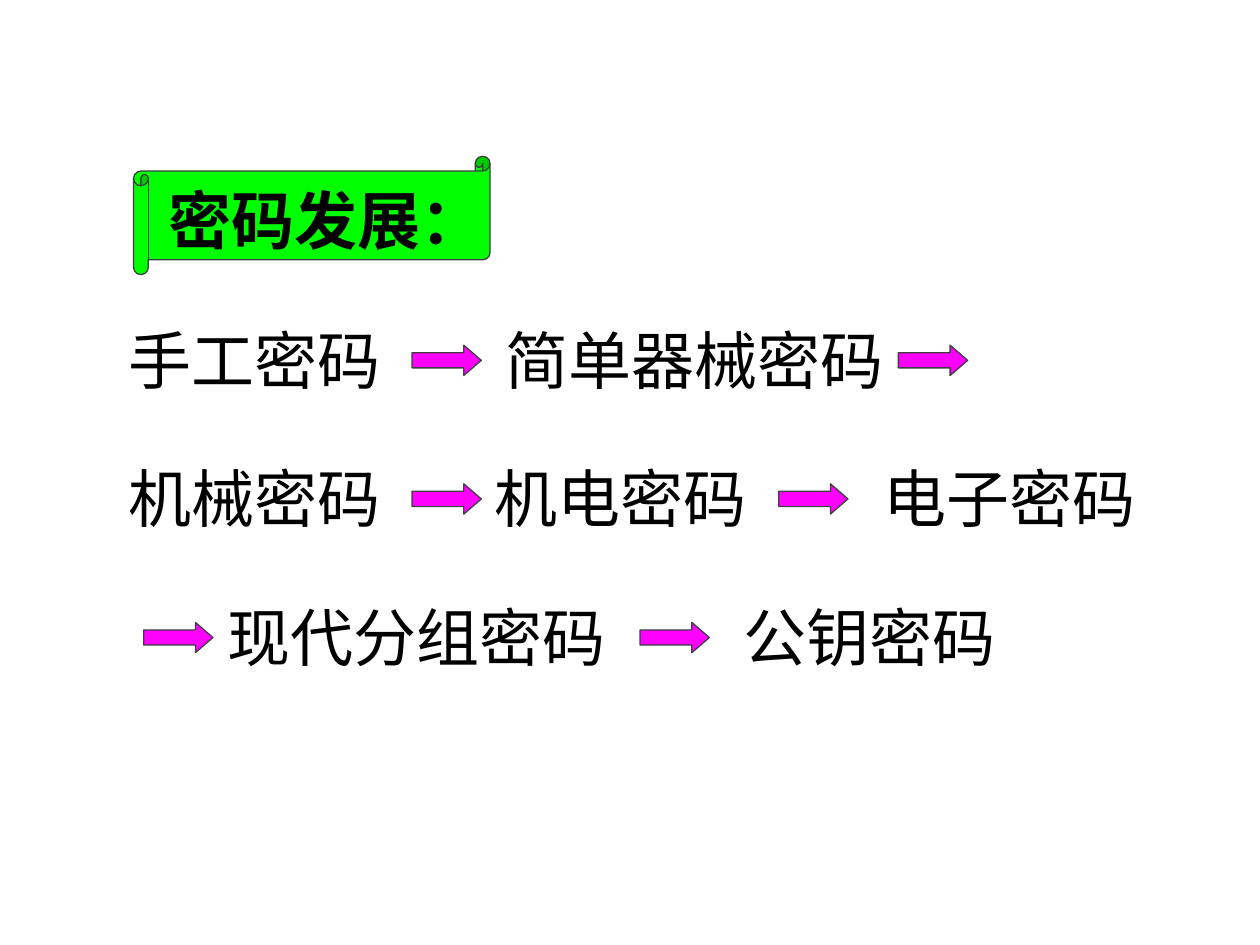
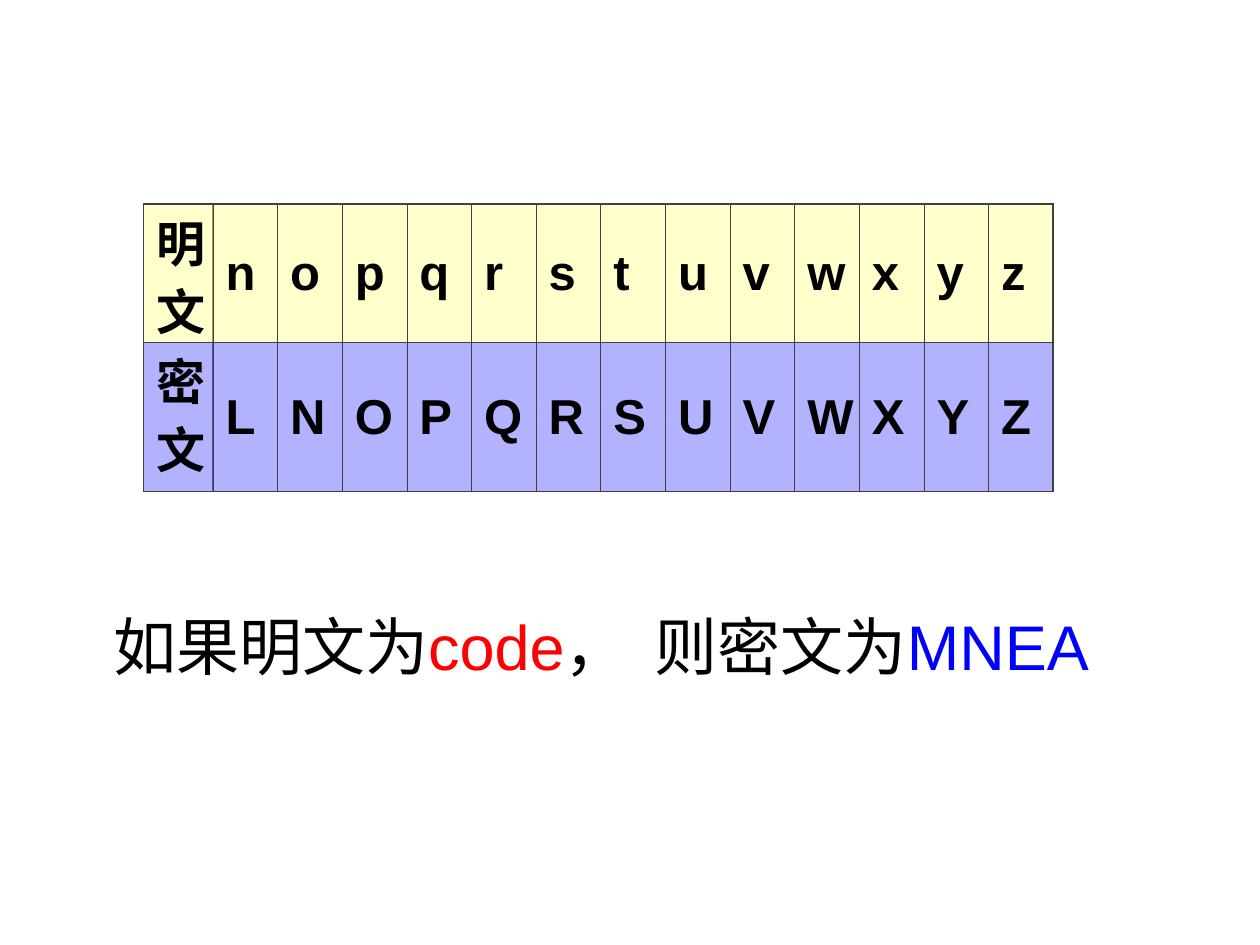
from lxml.etree import SubElement
from pptx import Presentation
from pptx.dml.color import RGBColor
from pptx.enum.shapes import MSO_SHAPE as Shape
from pptx.enum.text import MSO_ANCHOR as Anchor, MSO_AUTO_SIZE as AutoSize
from pptx.oxml import parse_xml
from pptx.oxml.ns import nsdecls, qn
from pptx.util import Inches, Pt

FONT = "Arial"
BLACK, RED, BLUE = "000000", "FF0000", "0000FF"
GREEN, MAGENTA, OUTLINE = "00FF00", "FF00FF", "3D3F41"
PLAIN_FILL, CIPHER_FILL = "FFFF99", "6666FF"
THIN, THICK = 0.45, 1.08

LINE_HEIGHT = 0.7
STAGE_TOP, STAGE_PITCH = 2.5, 1.1
ARROW_WIDTH, ARROW_HEIGHT, ARROW_DROP = 0.55, 0.24, 0.24
STAGES = [
    [(0.92, 2.31, "手工密码"), (3.91, 3.31, "简单器械密码")],
    [(0.92, 2.31, "机械密码"), (3.83, 2.31, "机电密码"), (6.91, 2.31, "电子密码")],
    [(1.71, 3.31, "现代分组密码"), (5.8, 2.31, "公钥密码")],
]
ARROWS = [(3.27, 7.13), (3.27, 6.18), (1.14, 5.08)]

TABLE_TOP, TABLE_ROWS = 1.62, (1.1, 1.18)
LABEL_LEFT, LABEL_WIDTH, LETTER_WIDTH = 1.14, 0.55, 0.513


def rgb(value):
    return RGBColor.from_string(value)


def style_run(run, size, color=BLACK, bold=False):
    font = run.font
    font.name, font.size, font.bold = FONT, Pt(size), bold
    font.color.rgb = rgb(color)
    SubElement(run._r.get_or_add_rPr(), qn("a:ea"), typeface=FONT)


def add_line_of_text(shapes, left, top, width, parts, bold=False):
    box = shapes.add_textbox(*map(Inches, (left, top, width, LINE_HEIGHT)))
    frame = box.text_frame
    frame.word_wrap = False
    frame.auto_size = AutoSize.SHAPE_TO_FIT_TEXT
    frame.vertical_anchor = Anchor.MIDDLE
    for words, color in parts:
        run = frame.paragraphs[0].add_run()
        run.text = words
        style_run(run, 36, color, bold)


def add_preset(shapes, preset, left, top, width, height, fill, adjustments):
    shape = shapes.add_shape(preset, *map(Inches, (left, top, width, height)))
    shape.shadow.inherit = False
    shape.fill.solid()
    shape.fill.fore_color.rgb = rgb(fill)
    shape.line.color.rgb = rgb(OUTLINE)
    shape.line.width = Pt(0.75)
    for index, value in enumerate(adjustments):
        shape.adjustments[index] = value


def fill_cell(cell, color, edges):
    cell.fill.solid()
    cell.fill.fore_color.rgb = rgb(color)
    properties = cell._tc.tcPr
    tint = properties.find(".//" + qn("a:srgbClr"))
    SubElement(tint, qn("a:alpha"), val="50000")
    for index, (side, width) in enumerate(zip("LRTB", edges)):
        properties.insert(index, parse_xml(
            f'<a:ln{side} {nsdecls("a")} w="{Pt(width)}"><a:solidFill>'
            f'<a:srgbClr val="{OUTLINE}"/></a:solidFill></a:ln{side}>'))


def add_cipher_table(slide, left, column_width, rows, is_label=False):
    columns = len(rows[0])
    table = slide.shapes.add_table(
        len(rows), columns, Inches(left), Inches(TABLE_TOP),
        Inches(column_width * columns), Inches(sum(TABLE_ROWS))).table
    table.first_row = table.horz_banding = False
    for column in table.columns:
        column.width = Inches(column_width)
    for r, (entries, fill) in enumerate(zip(rows, (PLAIN_FILL, CIPHER_FILL))):
        table.rows[r].height = Inches(TABLE_ROWS[r])
        for c, entry in enumerate(entries):
            cell = table.cell(r, c)
            cell.text_frame.text = entry
            paragraph = cell.text_frame.paragraphs[0]
            style_run(paragraph.runs[0], 28, bold=True)
            cell.vertical_anchor = Anchor.TOP if is_label else Anchor.MIDDLE
            if is_label:
                cell.margin_top = cell.margin_bottom = 0
                paragraph.line_spacing = Pt(39)
            outer = (c == 0, c == columns - 1 and not is_label,
                     r == 0, r == len(rows) - 1)
            fill_cell(cell, fill, [THICK if edge else THIN for edge in outer])


def build_history(slide):
    heading = slide.shapes.add_group_shape().shapes
    add_preset(heading, Shape.HORIZONTAL_SCROLL, 1.06, 1.24, 2.83, 0.94, GREEN, [0.125])
    add_line_of_text(heading, 1.24, 1.39, 2.81, [("密码发展：", BLACK)], bold=True)
    for row, (stages, arrows) in enumerate(zip(STAGES, ARROWS)):
        top = STAGE_TOP + row * STAGE_PITCH
        for left, width, stage in stages:
            add_line_of_text(slide.shapes, left, top, width, [(stage, BLACK)])
        for left in arrows:
            add_preset(slide.shapes, Shape.RIGHT_ARROW, left, top + ARROW_DROP,
                       ARROW_WIDTH, ARROW_HEIGHT, MAGENTA, [0.5, 0.58])


def build_substitution(slide):
    add_cipher_table(slide, LABEL_LEFT + LABEL_WIDTH, LETTER_WIDTH,
                     ["nopqrstuvwxyz", "LNOPQRSUVWXYZ"])
    add_line_of_text(slide.shapes, 0.8, 4.77, 4.63,
                     [("如果明文为", BLACK), ("code", RED), ("，", BLACK)])
    add_line_of_text(slide.shapes, 5.1, 4.77, 3.9,
                     [("则密文为", BLACK), ("MNEA", BLUE)])
    add_cipher_table(slide, LABEL_LEFT, LABEL_WIDTH, [["明文"], ["密文"]], is_label=True)


def main():
    deck = Presentation()
    deck.slide_width, deck.slide_height = Inches(10), Inches(7.5)
    for build in (build_history, build_substitution):
        build(deck.slides.add_slide(deck.slide_layouts[6]))
    deck.save("out.pptx")


if __name__ == "__main__":
    main()
